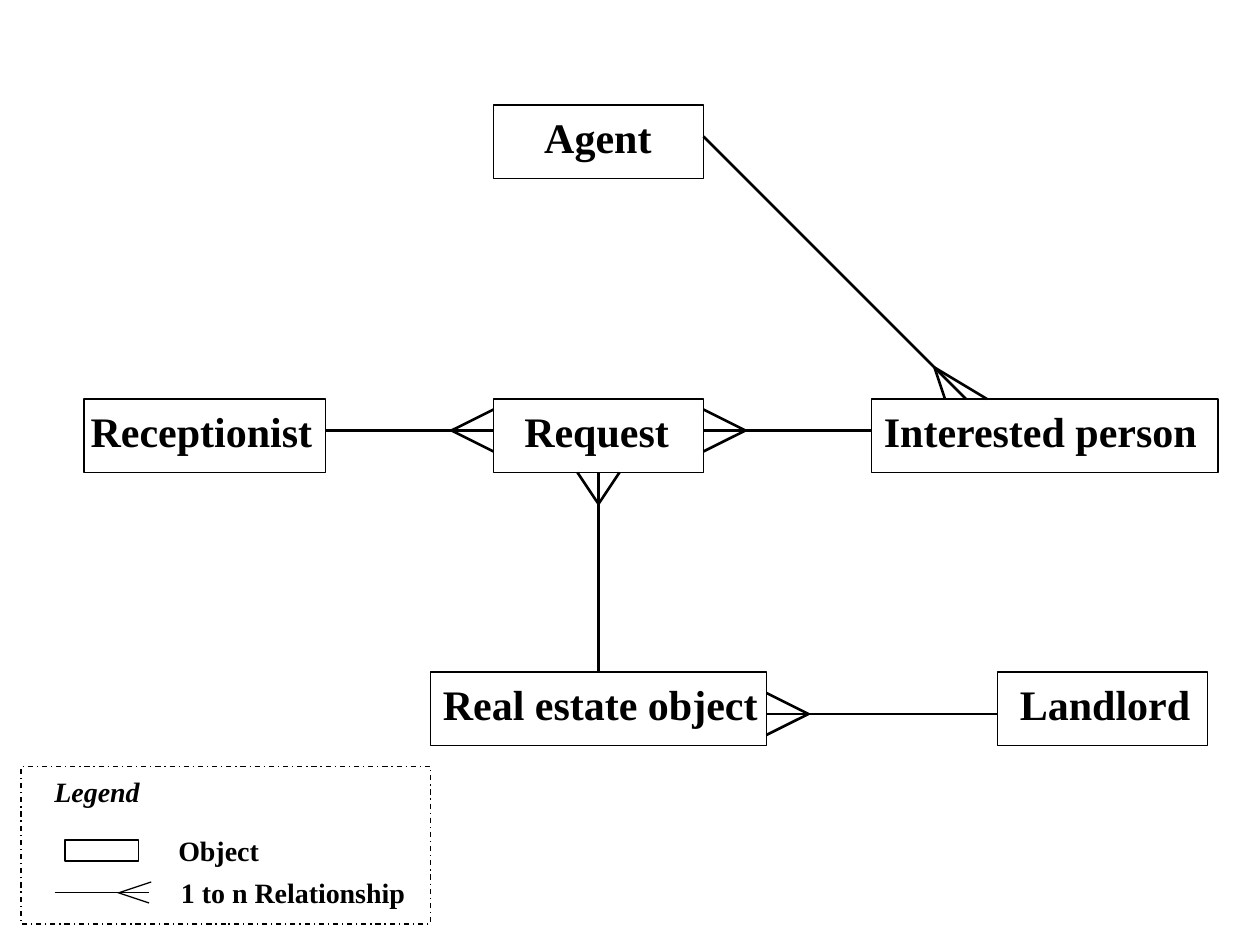
from lxml import etree
from pptx import Presentation
from pptx import util as u
from pptx.dml.color import RGBColor
from pptx.enum import dml, shapes, text

COLS, ROWS = 120, 90
CELL = u.Inches(10) // COLS
INK = "000000"
FONT = "Times New Roman"

# name: (box in cells, label's shift and width in cells)
NODES = {
    "Receptionist": ((8, 38, 23, 7), -0.55, 23.7),
    "Interested person": ((83, 38, 33, 7), 0, 32.4),
    "Agent": ((47, 10, 20, 7), 3.65, 12.8),
    "Real estate object": ((41, 64, 32, 7), 0, 32.6),
    "Request": ((47, 38, 20, 7), 1.75, 16.4),
    "Landlord": ((95, 64, 20, 7), 0.95, 18.8),
}

# start, end, apex of the fork, its two toes
LINKS = [
    ((31, 41), (47, 41), (43, 41), (47, 39), (47, 43)),
    ((83, 41), (67, 41), (71, 41), (67, 43), (67, 39)),
    ((67, 13), (92, 38), (89, 35), (90, 38), (94, 38)),
    ((95, 68), (73, 68), (77, 68), (73, 70), (73, 66)),
]


def span(*cells):
    return [u.Emu(round(c * CELL)) for c in cells]


def paint(code):
    return RGBColor.from_string(code)


def frame(parts, box, dash=None):
    rect = parts.add_shape(shapes.MSO_SHAPE.RECTANGLE, *span(*box))
    rect.shadow.inherit = False
    rect.fill.background()
    rect.line.color.rgb = paint(INK)
    rect.line.width = u.Pt(0.75)
    if dash:
        rect.line.dash_style = dash
    return rect


def label(parts, box, words, size, slant=None):
    area = parts.add_textbox(*span(*box)).text_frame
    area.word_wrap = False
    area.auto_size = text.MSO_AUTO_SIZE.SHAPE_TO_FIT_TEXT
    run = area.paragraphs[0].add_run()
    run.text = words
    font = run.font
    font.name, font.size = FONT, u.Pt(size)
    font.bold, font.italic = True, slant
    font.color.rgb = paint(INK)


def stroke(parts, start, end, width=1.5):
    line = parts.add_connector(shapes.MSO_CONNECTOR.STRAIGHT,
                               *span(*start, *end))
    line.line.color.rgb = paint(INK)
    line.line.width = u.Pt(width)
    props = line._element.spPr
    etree.SubElement(props, props.ln.tag.replace("}ln", "}effectLst"))
    return line


def fork(parts, apex, *toes):
    for toe in toes:
        stroke(parts, apex, toe)


def node(parts, name, box, shift, width):
    left, top = box[:2]
    group = parts.add_group_shape().shapes
    label(group, (left + shift, top, width, 6), name, 24)
    return frame(group, box)


def legend(parts, box):
    left, top = box[:2]
    group = parts.add_group_shape().shapes

    def at(x, y, *size):
        return (left + x, top + y, *size)

    frame(group, at(4.2, 7, 7, 2))
    label(group, at(13.8, 5.8, 10.4, 4.4), "Object", 16)
    for start, end in [((3.2, 12), (12.2, 12)),
                       ((9.2, 12), (12.2, 13)),
                       ((9.4, 12), (12.4, 11))]:
        stroke(group, at(*start), at(*end), 0.75)
    label(group, at(14.05, 9.8, 24, 4.4), "1 to n Relationship", 16)
    label(group, at(2, 0.2, 11, 4.4), "Legend", 16, True)
    frame(group, box, dml.MSO_LINE.DASH_DOT)


def diagram(parts):
    rects = {name: node(parts, name, *place)
             for name, place in NODES.items()}
    stem = stroke(parts, (57, 64), (57, 45))
    stem.begin_connect(rects["Real estate object"], 0)
    stem.end_connect(rects["Request"], 2)
    fork(parts, (57, 48), (59, 45), (55, 45))
    for start, end, *tips in LINKS:
        stroke(parts, start, end)
        fork(parts, *tips)


def main():
    deck = Presentation()
    deck.slide_width, deck.slide_height = span(COLS, ROWS)
    parts = deck.slides.add_slide(deck.slide_layouts[6]).shapes
    diagram(parts)
    legend(parts, (2, 73, 39, 15))
    deck.save("out.pptx")


if __name__ == "__main__":
    main()
